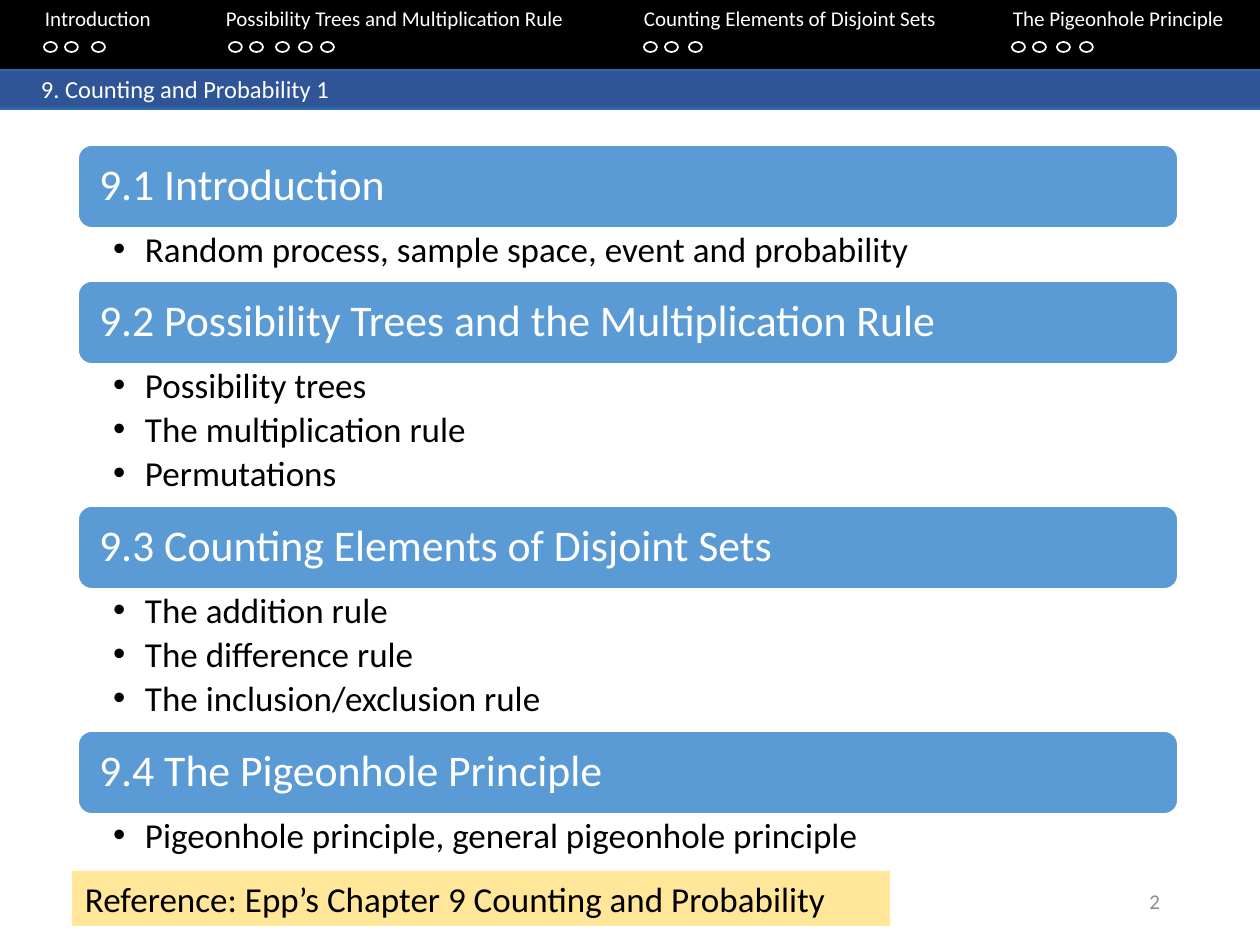
"""Build the outline slide of a lecture on counting and probability."""
from copy import deepcopy

from lxml.etree import SubElement
from pptx import Presentation
from pptx.dml.color import RGBColor
from pptx.enum.shapes import MSO_SHAPE
from pptx.enum.text import MSO_ANCHOR, PP_ALIGN
from pptx.oxml.ns import qn
from pptx.util import Pt

PX = 914400 / 126
ink = RGBColor.from_string


def box(kind, x, y, w, h, fill=None, line=None):
    shape = deck.shapes.add_shape(kind, *(round(n * PX) for n in (x, y, w, h)))
    shape.shadow.inherit = False
    if fill:
        shape.fill.solid()
        shape.fill.fore_color.rgb = ink(fill)
    else:
        shape.fill.background()
    if line:
        shape.line.color.rgb = ink(line)
        shape.line.width = Pt(1)
    else:
        shape.line.fill.background()
    return shape


def write(shape, text, size=20, color="000000", align=PP_ALIGN.LEFT,
          anchor=MSO_ANCHOR.TOP, pad=(13, 6, 13, 6), tabs=(), bullet=False, gap=1.0):
    frame = shape.text_frame
    frame.word_wrap = True
    frame.vertical_anchor = anchor
    left, top, right, bottom = (round(n * PX) for n in pad)
    frame.margin_left, frame.margin_top = left, top
    frame.margin_right, frame.margin_bottom = right, bottom
    for i, words in enumerate(text.split("\n")):
        para = frame.add_paragraph() if i else frame.paragraphs[0]
        para.alignment = align
        para.line_spacing = gap
        run = para.add_run()
        run.text = words
        run.font.name = "Calibri"
        run.font.size = Pt(size)
        run.font.color.rgb = ink(color)
        props = para._p.get_or_add_pPr()
        if bullet:
            para.level = 1
            para.space_after = Pt(3.5)
            props.set("marL", str(round(32 * PX)))
            props.set("indent", str(round(-32 * PX)))
            SubElement(props, qn("a:buFont"), typeface="Arial")
            SubElement(props, qn("a:buChar"), char="•")
        if tabs:
            stops = SubElement(props, qn("a:tabLst"))
            for stop in tabs:
                SubElement(stops, qn("a:tab"), pos=str(round(stop * PX)), algn="l")


show = Presentation()
show.slide_width = round(1260 * PX)
show.slide_height = round(945 * PX)
deck = show.slides.add_slide(show.slide_layouts[6])

for top, high in ((67, 38), (68, 42)):
    bar = box(MSO_SHAPE.RECTANGLE, 0, top, 1260, high)
    bar.fill.gradient()
    bar.fill.gradient_angle = 270
    stops = bar._element.spPr.find(".//" + qn("a:gsLst"))
    for stop in list(stops):
        stops.append(deepcopy(stop))
    shades = ((0, "2E75B6"), (0.11, "2F5597"), (0.91, "2F5597"), (1, "2E75B6"))
    for stop, (place, shade) in zip(bar.fill.gradient_stops, shades):
        stop.position = place
        stop.color.rgb = ink(shade)
write(bar, "\t9. Counting and Probability 1", size=14, color="FFFFFF", tabs=[28])

parts = (
    ("9.1 Introduction", "Random process, sample space, event and probability", 53),
    ("9.2 Possibility Trees and the Multiplication Rule",
     "Possibility trees\nThe multiplication rule\nPermutations", 142),
    ("9.3 Counting Elements of Disjoint Sets",
     "The addition rule\nThe difference rule\nThe inclusion/exclusion rule", 142),
    ("9.4 The Pigeonhole Principle",
     "Pigeonhole principle, general pigeonhole principle", 57),
)
top = 145
for title, points, high in parts:
    head = box(MSO_SHAPE.ROUNDED_RECTANGLE, 78, top, 1100, 83, "5B9BD5", "FFFFFF")
    write(head, title, size=25, color="FFFFFF", anchor=MSO_ANCHOR.MIDDLE,
          pad=(17, 13, 17, 13), gap=0.9)
    top += 83
    body = deck.shapes.add_textbox(*(round(n * PX) for n in (78, top, 1100, high)))
    write(body, points, pad=(35, 4, 24, 4), bullet=True, gap=0.9)
    top += high

box(MSO_SHAPE.RECTANGLE, 0, -2, 1260, 71, "000000")
menu = deck.shapes.add_textbox(0, 0, show.slide_width, round(63 * PX))
write(menu, "\tIntroduction\tPossibility Trees and Multiplication Rule"
      "\tCounting Elements of Disjoint Sets\t\tThe Pigeonhole Principle",
      size=12, color="FFFFFF", tabs=[32, 213, 631, 960, 1000])

for dots in ((44, 65, 92), (229, 250, 276, 299, 321),
             (644, 665, 689), (1012, 1033, 1057, 1080)):
    for left in dots:
        box(MSO_SHAPE.OVAL, left, 42, 13, 10, line="FFFFFF")

note = box(MSO_SHAPE.RECTANGLE, 72, 871, 818, 55, "FFE699")
write(note, "Reference: Epp’s Chapter 9 Counting and Probability")
page = deck.shapes.add_textbox(*(round(n * PX) for n in (890, 876, 283, 50)))
write(page, "2", size=12, color="8C8C8C", align=PP_ALIGN.RIGHT, anchor=MSO_ANCHOR.MIDDLE)

show.save("out.pptx")
